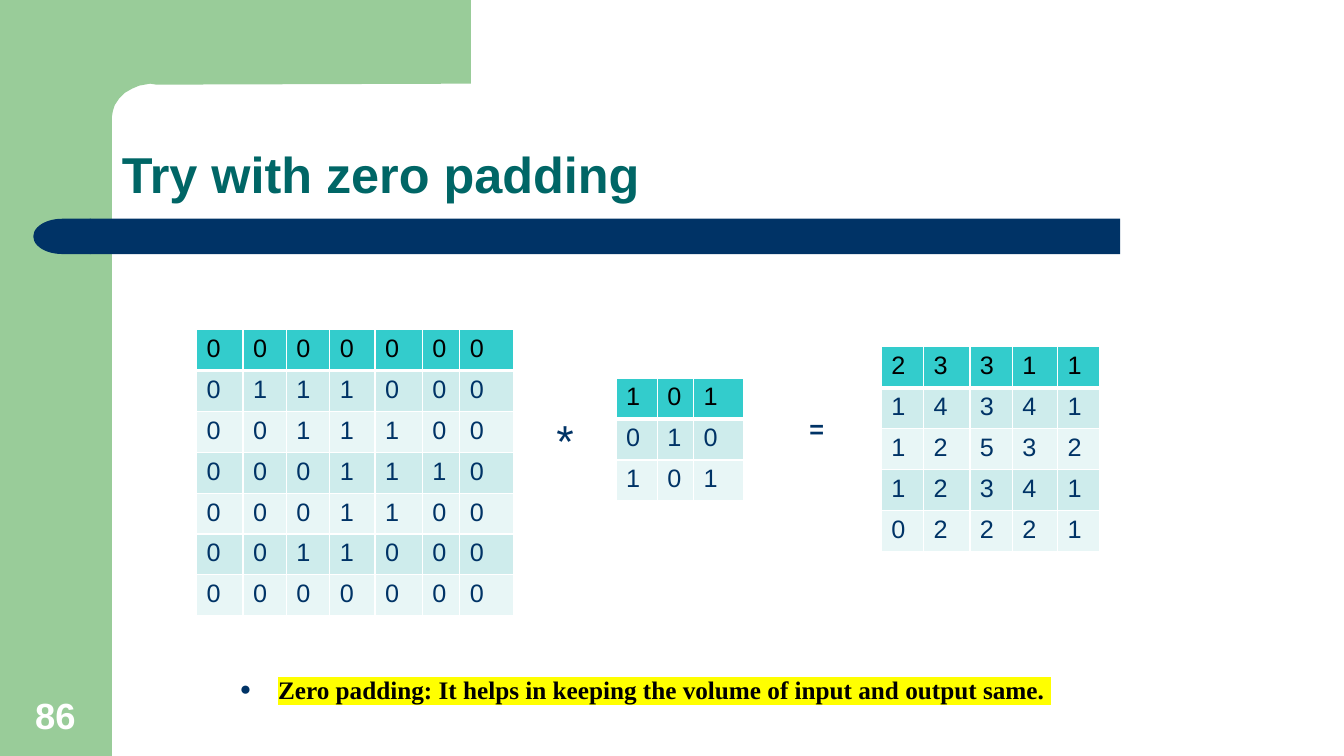
from lxml import etree
from pptx import Presentation
from pptx.dml.color import RGBColor
from pptx.enum.shapes import MSO_SHAPE
from pptx.enum.text import MSO_ANCHOR, PP_ALIGN
from pptx.oxml.ns import qn
from pptx.util import Inches, Pt

RECTANGLE = MSO_SHAPE.RECTANGLE
ROUNDED = MSO_SHAPE.ROUNDED_RECTANGLE
DELAY = MSO_SHAPE.FLOWCHART_DELAY
TOP, BOTTOM = MSO_ANCHOR.TOP, MSO_ANCHOR.BOTTOM
LEFT, CENTER = PP_ALIGN.LEFT, PP_ALIGN.CENTER

GREEN, NAVY, TEAL = "99CC99", "003366", "006666"
WHITE, BLACK, YELLOW = "FFFFFF", "000000", "FFFF00"
HEADER_FILL, BAND_FILLS = "33CCCC", ("CEECEC", "E8F6F6")

PADDED_INPUT = ["0000000", "0111000", "0011100", "0001110",
                "0001100", "0011000", "0000000"]
KERNEL = ["101", "010", "101"]
CONVOLVED = ["23311", "14341", "12532", "12341", "02221"]

# Outline of the green corner, relative to the panel's top left
CORNER = [(4.67, 0), (4.67, 0.83), (1.55, 0.84), (1.49, 0.83), (1.38, 0.85),
          (1.31, 0.88), (1.24, 0.92), (1.18, 0.98), (1.14, 1.04), (1.12, 1.1),
          (1.11, 1.16), (1.11, 1.28), (0.67, 1.28), (0.67, 0)]


def color(hex_code):
    return RGBColor.from_string(hex_code)


def paint(shape, fill):
    shape.shadow.inherit = False
    shape.fill.solid()
    shape.fill.fore_color.rgb = color(fill)
    shape.line.fill.background()


def add_block(page, kind, box, fill):
    block = page.shapes.add_shape(kind, *map(Inches, box))
    paint(block, fill)
    return block


def add_span(para, text, size, ink, bold=False, font="Arial"):
    span = para.add_run()
    span.text = text
    span.font.size = Pt(size)
    span.font.name = font
    span.font.bold = bold
    span.font.color.rgb = color(ink)
    return span


def add_text_box(page, box, anchor=TOP, align=LEFT, wrap=True):
    """Add an empty text box and return its first paragraph."""
    frame = page.shapes.add_textbox(*map(Inches, box)).text_frame
    frame.word_wrap = wrap
    frame.vertical_anchor = anchor
    para = frame.paragraphs[0]
    para.alignment = align
    return para


def add_green_panel(page, box):
    left, top, _, _ = box
    add_block(page, RECTANGLE, box, GREEN)
    points = [(Inches(left + x), Inches(top + y)) for x, y in CORNER]
    builder = page.shapes.build_freeform(*points[0])
    builder.add_line_segments(points[1:], close=True)
    paint(builder.convert_to_shape(), GREEN)


def add_title_bar(page, box):
    """Draw the navy bar with a round cap at its left end."""
    left, top, width, height = box
    cap_width = 0.57
    bar_left = left + cap_width - 0.01
    bar = add_block(page, ROUNDED, (bar_left, top, left + width - bar_left, height), NAVY)
    bar.adjustments[0] = 0
    cap = add_block(page, DELAY, (left, top, cap_width, height), NAVY)
    cap.rotation = 180


def add_title(page, box, text):
    para = add_text_box(page, box, BOTTOM)
    para.line_spacing = 0.9
    add_span(para, text, 36, TEAL, bold=True)


def add_page_number(page, box, number):
    add_span(add_text_box(page, box, BOTTOM, CENTER), number, 26, WHITE, bold=True)


def add_operator(page, box, symbol, size, bold=False):
    add_span(add_text_box(page, box, wrap=False), symbol, size, NAVY, bold)


def add_border(cell, side, points):
    line = etree.SubElement(cell._tc.get_or_add_tcPr(), qn(f"a:{side}"), w=str(Pt(points)))
    fill = etree.SubElement(line, qn("a:solidFill"))
    etree.SubElement(fill, qn("a:srgbClr"), val=WHITE)


def add_matrix(page, box, rows, widths):
    """Draw a matrix given as digit strings; the first row is the header."""
    left, top, width, height = box
    table = page.shapes.add_table(len(rows), len(widths), *map(Inches, box)).table
    for column, column_width in zip(table.columns, widths):
        column.width = Inches(column_width)
    for r, digits in enumerate(rows):
        table.rows[r].height = Inches(height / len(rows))
        fill = BAND_FILLS[(r - 1) % 2] if r else HEADER_FILL
        for c, digit in enumerate(digits):
            cell = table.cell(r, c)
            add_border(cell, "lnL", 1)
            add_border(cell, "lnR", 1)
            add_border(cell, "lnT", 3 if r == 1 else 1)
            add_border(cell, "lnB", 3 if r == 0 else 1)
            cell.fill.solid()
            cell.fill.fore_color.rgb = color(fill)
            add_span(cell.text_frame.paragraphs[0], digit, 18, NAVY if r else BLACK)


def add_bullet(para, indent):
    properties = para._p.get_or_add_pPr()
    properties.set("marL", str(Inches(indent)))
    properties.set("indent", str(-Inches(indent)))
    bullet_color = etree.SubElement(properties, qn("a:buClr"))
    etree.SubElement(bullet_color, qn("a:srgbClr"), val=NAVY)
    etree.SubElement(properties, qn("a:buSzPct"), val="75000")
    etree.SubElement(properties, qn("a:buFont"), typeface="Arial")
    etree.SubElement(properties, qn("a:buChar"), char="●")


def add_highlighted_note(page, box, text):
    para = add_text_box(page, box)
    add_bullet(para, 0.38)
    span = add_span(para, text, 18, BLACK, bold=True, font="Times New Roman")
    highlight = etree.Element(qn("a:highlight"))
    etree.SubElement(highlight, qn("a:srgbClr"), val=YELLOW)
    span._r.rPr.find(qn("a:solidFill")).addnext(highlight)


def add_convolution(page, box):
    """Place input * kernel = result from left to right."""
    left, top, _, _ = box
    add_matrix(page, (left, top, 3.15, 2.84), PADDED_INPUT,
               [0.46, 0.43, 0.43, 0.45, 0.47, 0.37, 0.54])
    add_operator(page, (left + 3.47, top + 0.78, 0.38, 0.64), "*", 32)
    add_matrix(page, (left + 4.16, top + 0.48, 1.27, 1.22), KERNEL, [0.41, 0.36, 0.5])
    add_operator(page, (left + 5.98, top + 0.78, 0.35, 0.4), "=", 18, bold=True)
    add_matrix(page, (left + 6.79, top + 0.17, 2.17, 2.03), CONVOLVED,
               [0.42, 0.46, 0.42, 0.45, 0.42])


def main():
    deck = Presentation()
    deck.slide_width, deck.slide_height = Inches(13.33), Inches(7.5)
    page = deck.slides.add_slide(deck.slide_layouts[6])
    add_green_panel(page, (0, 0, 1.11, 7.5))
    add_title_bar(page, (0.33, 2.17, 10.78, 0.35))
    add_title(page, (1.11, 0.83, 11.56, 1.25), "Try with zero padding")
    add_page_number(page, (0.12, 6.83, 0.86, 0.53), "86")
    add_convolution(page, (1.95, 3.27, 8.96, 2.84))
    add_highlighted_note(
        page, (2.28, 6.64, 10.19, 0.4),
        "Zero padding: It helps in keeping the volume of input and output same. ")
    deck.save("out.pptx")


if __name__ == "__main__":
    main()
